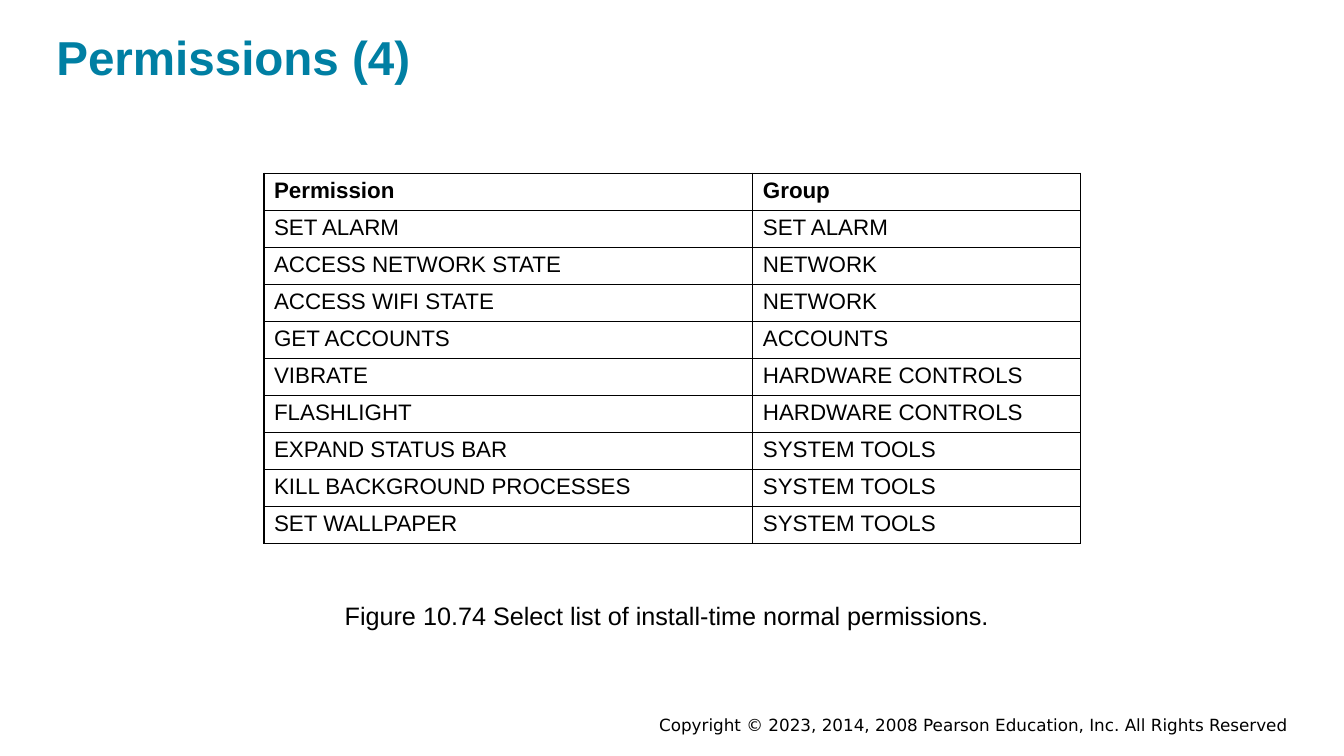
"""Build a slide with a table of install-time permissions."""
from dataclasses import dataclass

from lxml import etree
from pptx import Presentation
from pptx import util as u
from pptx.dml import color
from pptx.enum import text as t
from pptx.oxml import ns

HUES = {"title": "007FA3", "ink": "000000"}
LEFT, RIGHT = t.PP_ALIGN.LEFT, t.PP_ALIGN.RIGHT
ROW = 26.4
COLS = (349.2, 234)


@dataclass
class Label:
    words: str
    left: float
    top: float
    width: float
    height: float
    size: float
    font: str = "Arial"
    hue: str = "ink"
    bold: bool = False
    align: t.PP_ALIGN = LEFT


LABELS = [
    Label("Copyright © 2023, 2014, 2008 Pearson Education, Inc. All Rights Reserved",
          228.2, 509, 692, 17.3, 12, font="DejaVu Sans", align=RIGHT),
    Label("Permissions (4)", 40.3, 18.7, 878.4, 44, 34, hue="title", bold=True),
    Label("Figure 10.74 Select list of install-time normal permissions.",
          246.2, 427.7, 469.4, 24.5, 18),
]

GRID = [
    ("Permission", "Group"),
    ("SET ALARM", "SET ALARM"),
    ("ACCESS NETWORK STATE", "NETWORK"),
    ("ACCESS WIFI STATE", "NETWORK"),
    ("GET ACCOUNTS", "ACCOUNTS"),
    ("VIBRATE", "HARDWARE CONTROLS"),
    ("FLASHLIGHT", "HARDWARE CONTROLS"),
    ("EXPAND STATUS BAR", "SYSTEM TOOLS"),
    ("KILL BACKGROUND PROCESSES", "SYSTEM TOOLS"),
    ("SET WALLPAPER", "SYSTEM TOOLS"),
]


def write(frame, words: str, *, size: float, font: str = "Arial", hue: str = "ink",
          bold: bool = False, align: t.PP_ALIGN = LEFT) -> None:
    para = frame.paragraphs[0]
    para.alignment = align
    run = para.add_run()
    run.text = words
    run.font.name, run.font.size, run.font.bold = font, u.Pt(size), bold
    run.font.color.rgb = color.RGBColor.from_string(HUES[hue])


def draw_label(slide, item: Label) -> None:
    box = slide.shapes.add_textbox(*map(u.Pt, (item.left, item.top, item.width, item.height)))
    frame = box.text_frame
    frame.word_wrap = True
    frame.vertical_anchor = t.MSO_ANCHOR.MIDDLE
    frame.margin_left = frame.margin_right = 0
    frame.margin_top = frame.margin_bottom = u.Pt(1.4)
    write(frame, item.words, size=item.size, font=item.font, hue=item.hue,
          bold=item.bold, align=item.align)


def frame_cell(cell) -> None:
    props = cell._tc.get_or_add_tcPr()
    for side in "LRTB":
        line = etree.SubElement(props, ns.qn(f"a:ln{side}"), w=str(u.Pt(1)))
        fill = etree.SubElement(line, ns.qn("a:solidFill"))
        etree.SubElement(fill, ns.qn("a:srgbClr"), val=HUES["ink"])
    cell.fill.background()


def draw_grid(slide, left: float, top: float) -> None:
    table = slide.shapes.add_table(
        len(GRID), len(COLS),
        *map(u.Pt, (left, top, sum(COLS), ROW * len(GRID)))).table
    table.horz_banding = False
    for col, width in zip(table.columns, COLS):
        col.width = u.Pt(width)
    for r, words in enumerate(GRID):
        table.rows[r].height = u.Pt(ROW)
        for c, word in enumerate(words):
            cell = table.cell(r, c)
            frame_cell(cell)
            write(cell.text_frame, word, size=16, bold=r == 0)


def main() -> None:
    deck = Presentation()
    deck.slide_width, deck.slide_height = u.Pt(960), u.Pt(540)
    slide = deck.slides.add_slide(deck.slide_layouts[6])
    for item in LABELS:
        draw_label(slide, item)
    draw_grid(slide, 188.6, 123.8)
    deck.save("out.pptx")


if __name__ == "__main__":
    main()
